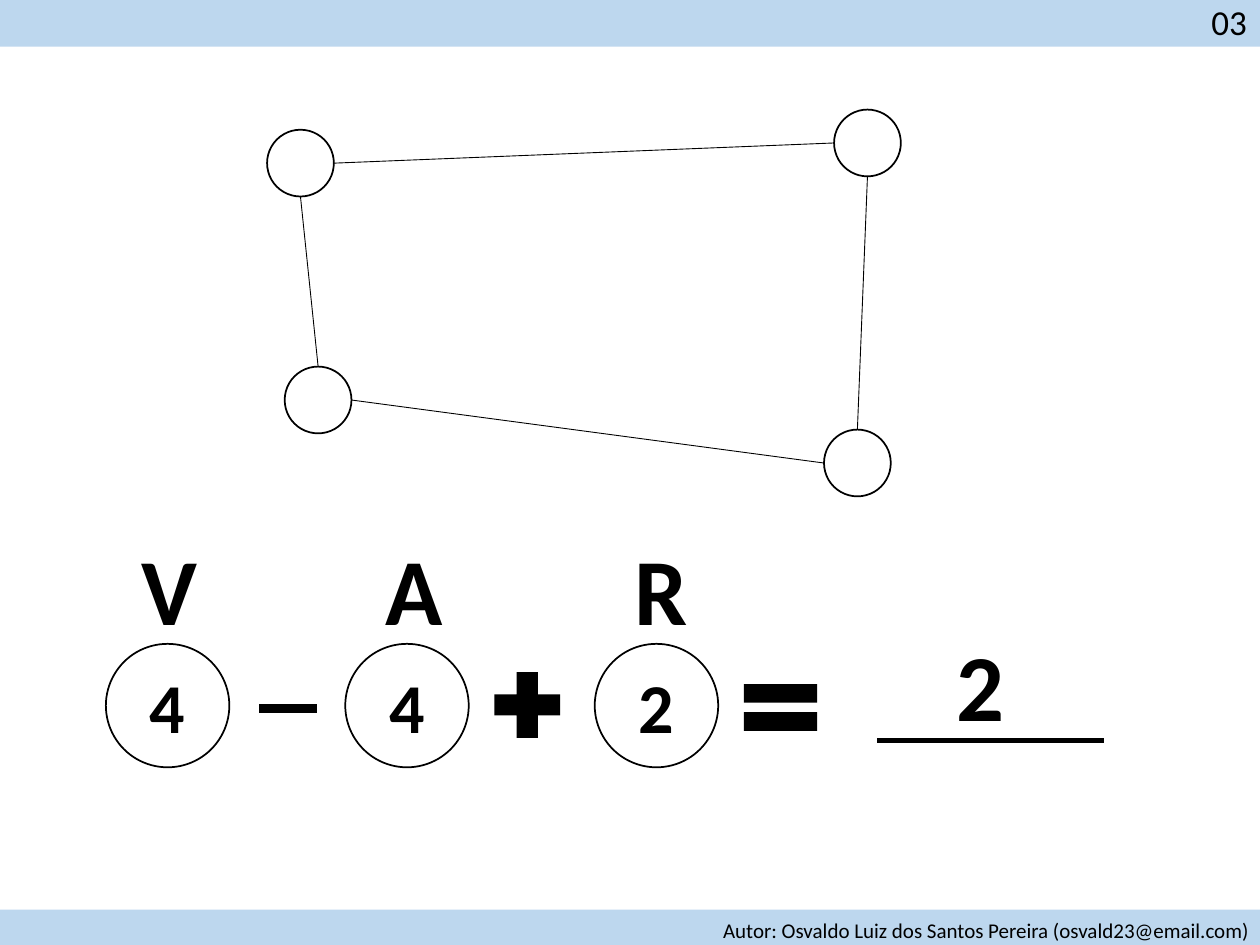
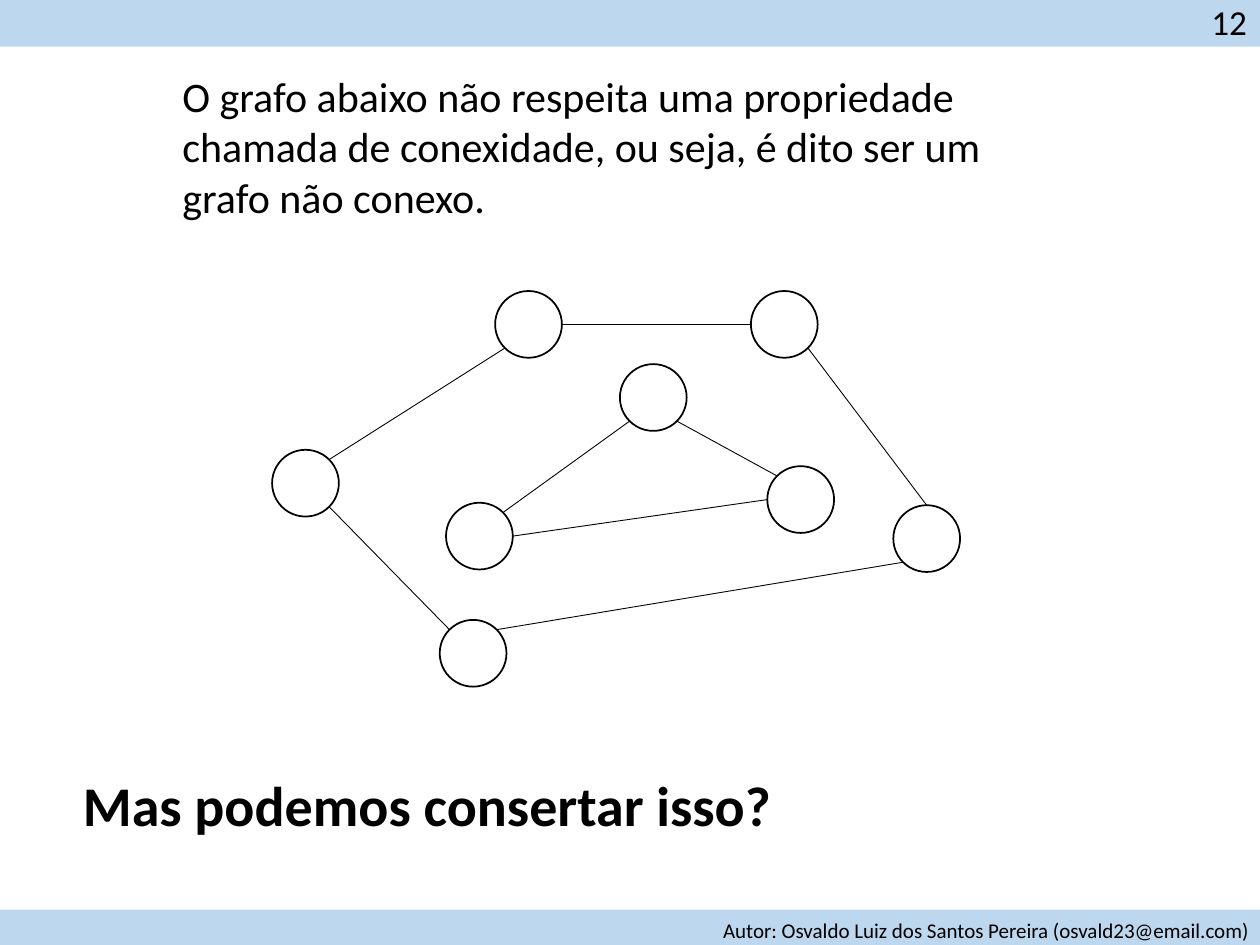
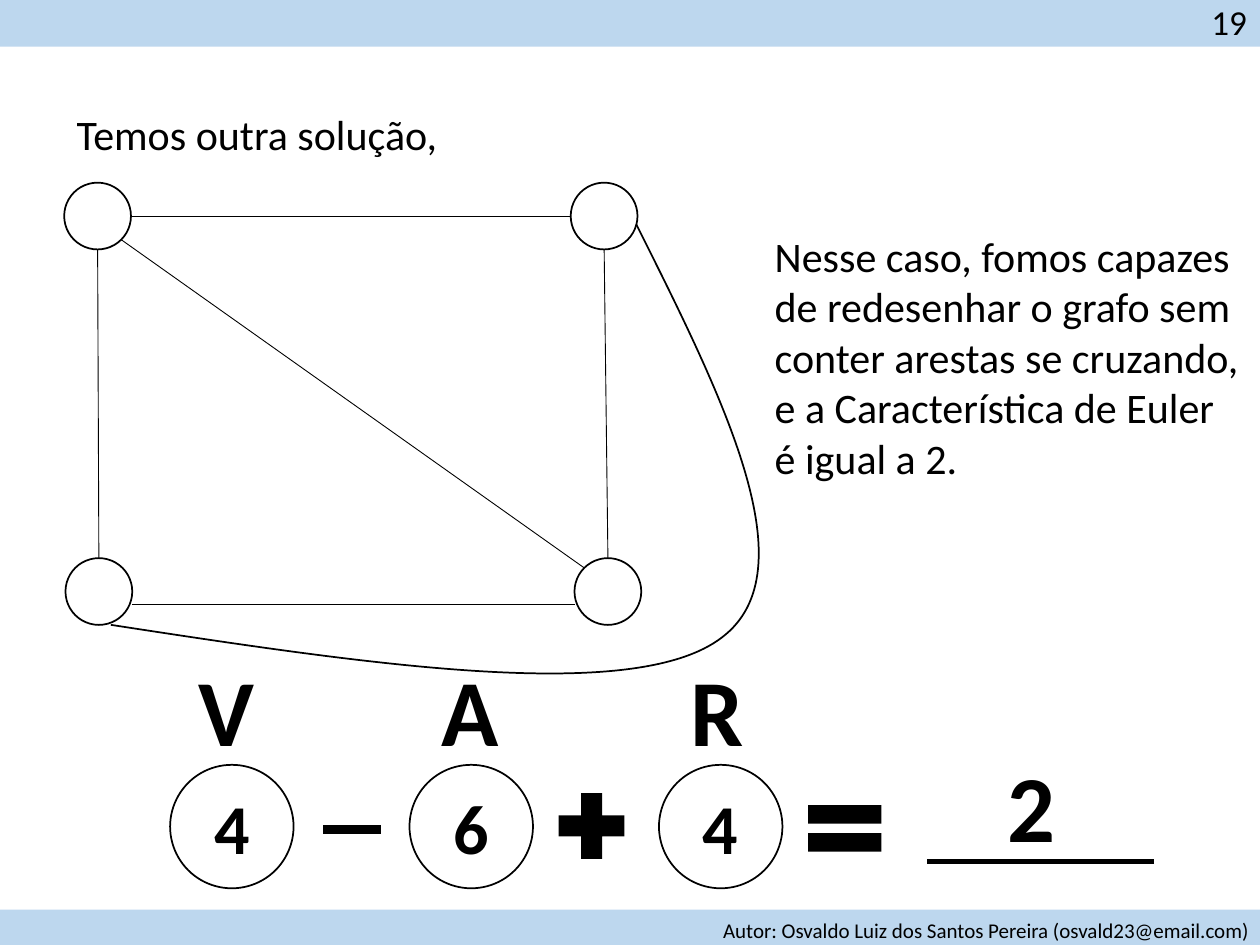
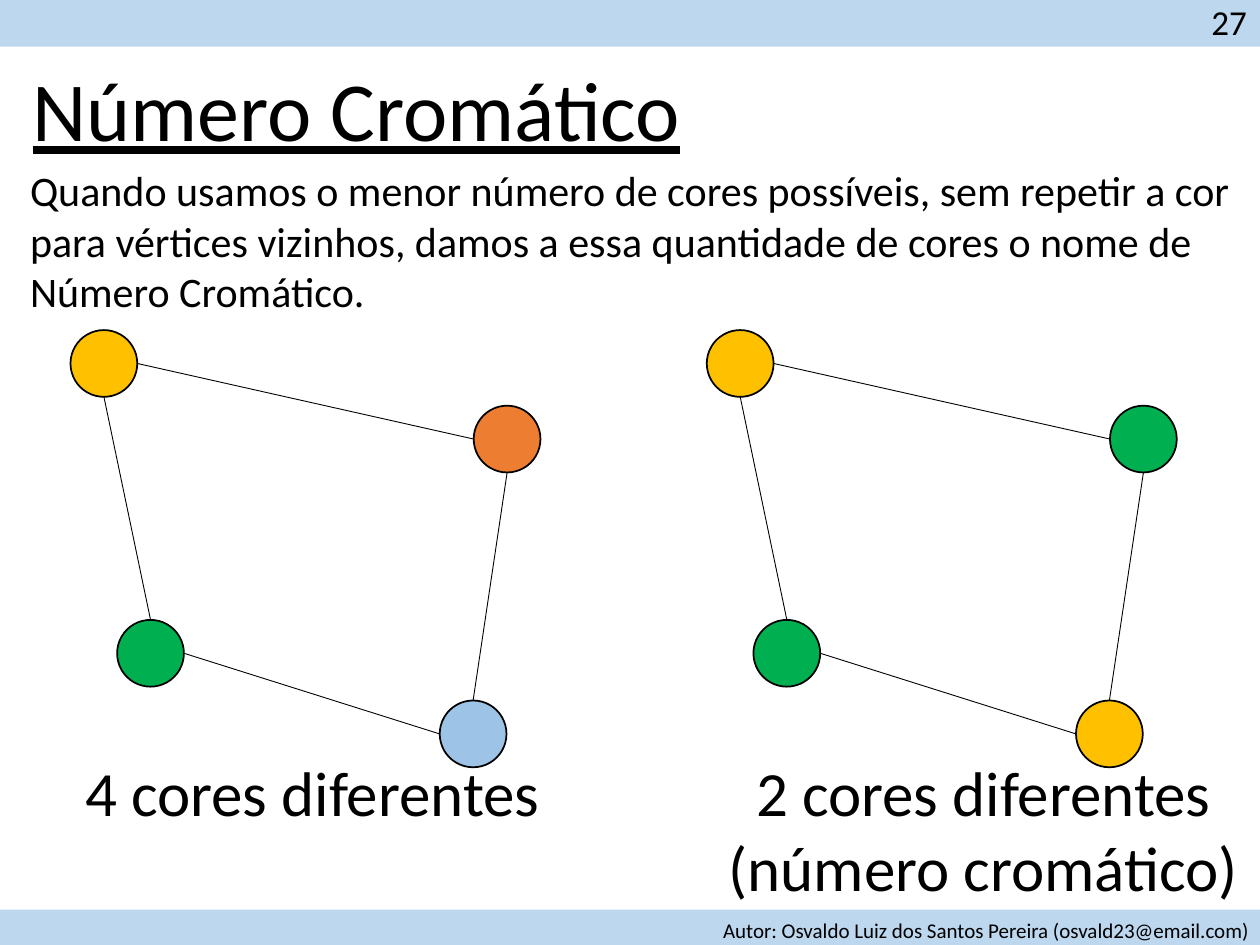
from math import cos, radians, sin

from lxml.etree import SubElement
from pptx import Presentation
from pptx.dml.color import RGBColor
from pptx.enum.shapes import MSO_CONNECTOR, MSO_SHAPE
from pptx.enum.text import MSO_ANCHOR, MSO_AUTO_SIZE, PP_ALIGN
from pptx.oxml.ns import qn
from pptx.util import Inches, Pt

BLACK = RGBColor(0x00, 0x00, 0x00)
BAND = RGBColor(0xBD, 0xD7, 0xEE)
GOLD = RGBColor(0xFF, 0xC0, 0x00)
GREEN = RGBColor(0x00, 0xB0, 0x50)
ORANGE = RGBColor(0xED, 0x7D, 0x31)
BLUE = RGBColor(0x9D, 0xC3, 0xE6)

FONT = "Calibri"
CREDIT = "Autor: Osvaldo Luiz dos Santos Pereira (osvald23@email.com)"
NODE = 0.53
TOP, TOP_LEFT, LEFT, LOW_LEFT, LOW, LOW_RIGHT, RIGHT, TOP_RIGHT = range(8)
SIDES = [(1, TOP, 0, LOW), (3, LEFT, 0, RIGHT), (2, TOP, 3, LOW)]
RING = SIDES + [(2, LEFT, 1, RIGHT)]


def write(frame, lines, size, bold=False, under=False, align=PP_ALIGN.LEFT):
    """Fill a text frame with one run per paragraph."""
    for i, line in enumerate(lines):
        para = frame.add_paragraph() if i else frame.paragraphs[0]
        para.alignment = align
        run = para.add_run()
        run.text = line
        font = run.font
        font.name, font.size, font.bold = FONT, Pt(size), bold
        font.underline = under
        font.color.rgb = BLACK


def text(slide, box, lines, size, anchor=MSO_ANCHOR.TOP, wrap=True, **style):
    """Add a text box that grows with its text."""
    frame = slide.shapes.add_textbox(*map(Inches, box)).text_frame
    frame.word_wrap = wrap
    frame.auto_size = MSO_AUTO_SIZE.SHAPE_TO_FIT_TEXT
    frame.vertical_anchor = anchor
    write(frame, lines, size, **style)


def paint(shape, fill=None, width=None):
    """Set fill and outline, leaving out whichever is not given."""
    shape.shadow.inherit = False
    if fill is None:
        shape.fill.background()
    else:
        shape.fill.solid()
        shape.fill.fore_color.rgb = fill
    if width is None:
        shape.line.fill.background()
    else:
        shape.line.color.rgb = BLACK
        shape.line.width = Pt(width)


def block(slide, kind, box, fill=None, width=None):
    """Add a painted preset shape."""
    shape = slide.shapes.add_shape(kind, *map(Inches, box))
    paint(shape, fill, width)
    return shape


def rule(slide, start, end, width):
    """Draw a straight black line."""
    line = slide.shapes.add_connector(
        MSO_CONNECTOR.STRAIGHT, *map(Inches, (*start, *end)))
    line.line.color.rgb = BLACK
    line.line.width = Pt(width)
    SubElement(line.element.spPr, qn("a:effectLst"))
    return line


def rim(spot, site):
    """Return the point of a node at one of its eight sites."""
    angle = radians(90 + 45 * site)
    half = NODE / 2
    return (spot[0] + half * (1 + cos(angle)),
            spot[1] + half * (1 - sin(angle)))


def graph(slide, spots, edges, fills=None):
    """Draw round nodes and the edges glued to their sites."""
    fills = fills or [None] * len(spots)
    nodes = [block(slide, MSO_SHAPE.OVAL, (*spot, NODE, NODE), fill, 1)
             for spot, fill in zip(spots, fills)]
    for a, out, b, into in edges:
        line = rule(slide, rim(spots[a], out), rim(spots[b], into), 0.5)
        glue = line.element.find(".//" + qn("p:cNvCxnSpPr"))
        for tag, node, site in (("a:stCxn", a, out), ("a:endCxn", b, into)):
            SubElement(glue, qn(tag), id=str(nodes[node].shape_id),
                       idx=str(site))


def curve(slide, start, knots, size):
    """Draw an open Bezier curve, three knots to a segment."""
    pen = slide.shapes.build_freeform(*map(Inches, start))
    pen.add_line_segments(
        [(Inches(x), Inches(y)) for x, y in knots], close=False)
    shape = pen.convert_to_shape()
    paint(shape, width=1)
    shape.width, shape.height = map(Inches, size)
    track = shape.element.find(".//" + qn("a:path"))
    track.set("w", str(shape.width))
    track.set("h", str(shape.height))
    steps = track.findall(qn("a:lnTo"))
    for i in range(0, len(steps), 3):
        bend = SubElement(track, qn("a:cubicBezTo"))
        for step in steps[i:i + 3]:
            bend.append(step[0])
            track.remove(step)


def euler(slide, counts, total, top, shift=0, head=0, tail=0):
    """Draw V - A + R = total, with shifts for circles, letters and answer."""
    bold = {"bold": True, "align": PP_ALIGN.CENTER}
    mid = MSO_ANCHOR.MIDDLE
    for left, count in zip((0.84, 2.74, 4.72), counts):
        ring = block(slide, MSO_SHAPE.OVAL,
                     (left + shift, top, 0.98, 0.98), width=1)
        ring.text_frame.vertical_anchor = mid
        write(ring.text_frame, [count], 40, **bold)
    for kind, left, drop, wide, high in (
            (MSO_SHAPE.MATH_MINUS, 1.97, 0.36, 0.63, 0.31),
            (MSO_SHAPE.MATH_PLUS, 3.83, 0.13, 0.71, 0.71),
            (MSO_SHAPE.MATH_EQUAL, 5.8, 0.19, 0.79, 0.63)):
        block(slide, kind, (left + shift, top + drop, wide, high), BLACK)
    rule(slide, (8.76 + tail, top + 0.77), (6.96 + tail, top + 0.77), 3)
    for left, letter in zip((0.91, 2.85, 4.81), "VAR"):
        text(slide, (left + head, top - 0.95, 0.87, 1.01), [letter], 54,
             mid, **bold)
    text(slide, (7.35 + tail, top - 0.19, 0.87, 1.01), [total], 54,
         mid, **bold)


def frame(slide, number):
    """Add the bands, the credit and the page number."""
    block(slide, MSO_SHAPE.RECTANGLE, (0, 7.22, 10, 0.28), BAND)
    text(slide, (5.64, 7.23, 4.42, 0.3), [CREDIT], 12)
    block(slide, MSO_SHAPE.RECTANGLE, (0, 0, 10, 0.37), BAND)
    text(slide, (9.51, -0.05, 0.49, 0.44), [number], 20, MSO_ANCHOR.MIDDLE,
         False, align=PP_ALIGN.CENTER)


def square(slide):
    """Build the slide with a four-sided graph."""
    euler(slide, "442", "2", 5.11)
    graph(slide, [(2.12, 1.03), (2.26, 2.91), (6.54, 3.41), (6.62, 0.87)],
          RING)


def split(slide):
    """Build the slide with a graph in two parts."""
    text(slide, (1.35, 0.51, 7.03, 1.31),
         ["O grafo abaixo não respeita uma propriedade chamada de "
          "conexidade, ou seja, é dito ser um grafo não conexo."], 24)
    graph(slide,
          [(3.93, 2.31), (3.49, 4.92), (2.16, 3.57), (7.09, 4.01),
           (5.96, 2.31)],
          [(2, TOP_RIGHT, 0, LOW_LEFT), (3, TOP, 4, LOW_RIGHT),
           (2, LOW_RIGHT, 1, TOP_LEFT), (1, TOP_RIGHT, 3, LOW_LEFT),
           (0, RIGHT, 4, LEFT)])
    graph(slide, [(4.92, 2.89), (3.54, 3.99), (6.09, 3.7)],
          [(1, TOP_RIGHT, 0, LOW_LEFT), (2, TOP_LEFT, 0, LOW_RIGHT),
           (1, RIGHT, 2, LEFT)])
    text(slide, (0.56, 6.07, 7.87, 0.64), ["Mas podemos consertar isso?"],
         32, bold=True)


def redraw(slide):
    """Build the slide with a graph free of crossings."""
    text(slide, (0.51, 0.81, 4.74, 0.5), ["Temos outra solução,"], 24)
    graph(slide, [(0.51, 1.45), (0.52, 4.43), (4.56, 4.43), (4.53, 1.45)],
          SIDES + [(2, TOP_LEFT, 0, LOW_RIGHT)])
    rule(slide, (4.56, 4.8), (1.05, 4.8), 0.5)
    euler(slide, "464", "2", 6.07, 0.51, 0.45, 0.4)
    curve(slide, (5.05, 1.78),
          [(5.74, 3.16), (6.43, 4.53), (5.73, 5.06),
           (5.04, 5.59), (2.96, 5.28), (0.88, 4.96)], (5.14, 3.56))
    text(slide, (6.05, 1.78, 3.89, 2.12),
         ["Nesse caso, fomos capazes de redesenhar o grafo sem conter "
          "arestas se cruzando, e a Característica de Euler é igual a 2."],
         24)


def colours(slide):
    """Build the slide that compares two colourings."""
    spots = [(0.56, 2.62), (0.93, 4.92), (3.49, 5.56), (3.76, 3.22)]
    for shift, fills in ((5.05, (GOLD, GREEN, GOLD, GREEN)),
                         (0, (GOLD, GREEN, BLUE, ORANGE))):
        graph(slide, [(x + shift, y) for x, y in spots], RING, fills)
    text(slide, (0.56, 5.93, 3.84, 0.71), ["4 cores diferentes"], 36,
         align=PP_ALIGN.CENTER)
    text(slide, (5.61, 5.93, 4.39, 1.31),
         ["2 cores diferentes", "(número cromático)"], 36,
         align=PP_ALIGN.CENTER)
    text(slide, (0.16, 0.41, 8.68, 0.91), ["Número Cromático"], 48,
         under=True)
    text(slide, (0.14, 1.26, 9.73, 1.31),
         ["Quando usamos o menor número de cores possíveis, sem repetir a "
          "cor para vértices vizinhos, damos a essa quantidade de cores o "
          "nome de Número Cromático."], 24)


def main():
    """Build and save the deck."""
    deck = Presentation()
    deck.slide_width, deck.slide_height = Inches(10), Inches(7.5)
    for number, build in (("03", square), ("12", split),
                          ("19", redraw), ("27", colours)):
        slide = deck.slides.add_slide(deck.slide_layouts[6])
        build(slide)
        frame(slide, number)
    deck.save("out.pptx")


if __name__ == "__main__":
    main()
